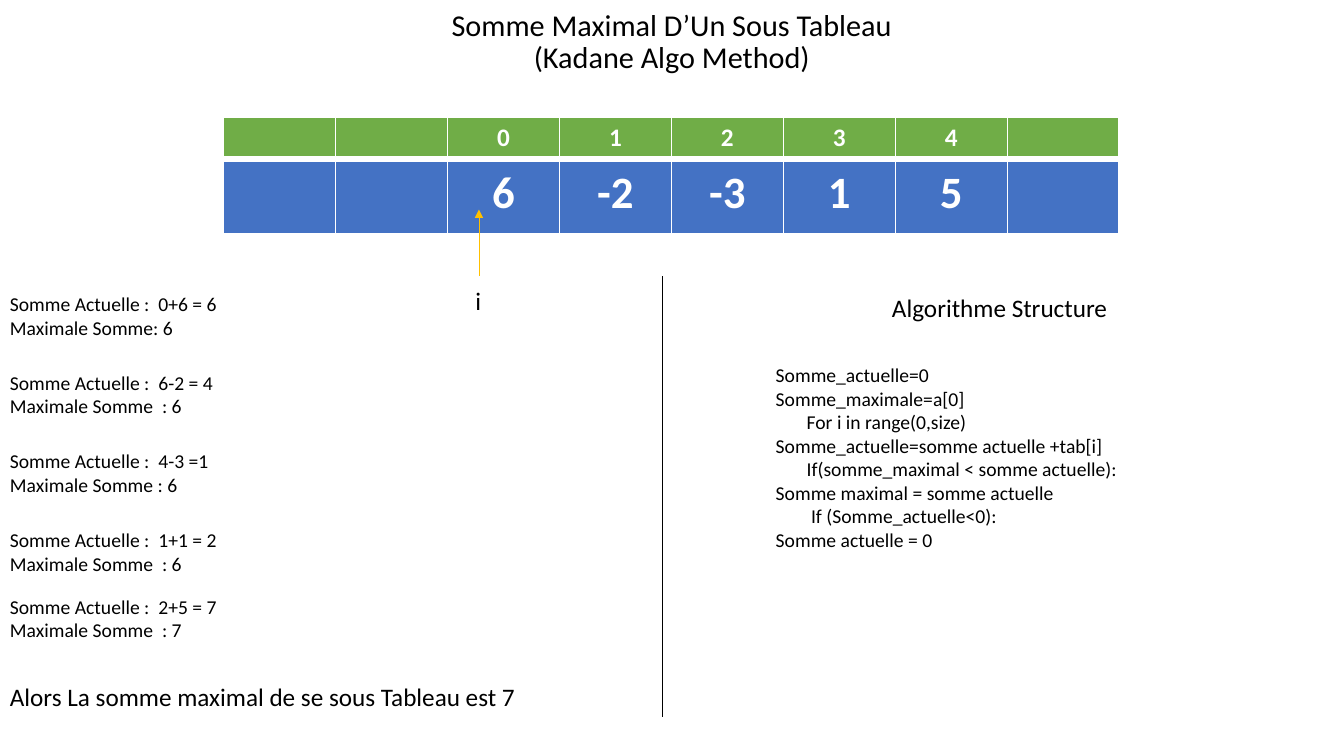
from lxml import etree
from pptx import Presentation
from pptx.dml.color import RGBColor
from pptx.enum.shapes import MSO_CONNECTOR
from pptx.enum.text import MSO_ANCHOR, MSO_AUTO_SIZE, PP_ALIGN
from pptx.oxml.ns import qn
from pptx.util import Cm, Pt

COLORS = {"text": "000000", "white": "FFFFFF", "value": "4472C4",
          "index": "70AD47", "pointer": "FFC000"}
FONT = "Calibri"
COLUMNS = 8
COLUMN_WIDTH = 2.82
TABLE_LEFT = 5.64


def rgb(name):
    return RGBColor.from_string(COLORS[name])


def style_font(font, size, color="text", bold=False):
    font.name, font.size, font.bold = FONT, Pt(size), bold
    font.color.rgb = rgb(color)


def set_title(slide, text):
    title = slide.shapes.title
    title.left, title.top, title.width, title.height = Cm(4.23), Cm(0), Cm(25.4), Cm(2.03)
    frame = title.text_frame
    frame.text = text
    frame.auto_size = MSO_AUTO_SIZE.NONE
    frame.vertical_anchor = MSO_ANCHOR.BOTTOM
    paragraph = frame.paragraphs[0]
    paragraph.alignment = PP_ALIGN.CENTER
    paragraph.line_spacing = 0.9
    style_font(paragraph.font, 21.6)
    for run in paragraph.runs:
        style_font(run.font, 21.6)


def add_text(slide, left, top, width, height, lines, size, wrap=False, indents=None):
    """Add a text box; indents maps a line number to its left indent in cm."""
    box = slide.shapes.add_textbox(Cm(left), Cm(top), Cm(width), Cm(height))
    frame = box.text_frame
    frame.word_wrap = wrap
    frame.auto_size = MSO_AUTO_SIZE.SHAPE_TO_FIT_TEXT
    for number, line in enumerate(lines):
        paragraph = frame.paragraphs[0] if number == 0 else frame.add_paragraph()
        run = paragraph.add_run()
        run.text = line
        style_font(run.font, size)
        if indents and number in indents:
            paragraph._p.get_or_add_pPr().set("marL", str(Cm(indents[number])))


def add_borders(cell):
    properties = cell._tc.get_or_add_tcPr()
    for position, (side, width) in enumerate((("L", 1), ("R", 1), ("T", 1), ("B", 3))):
        line = etree.Element(qn(f"a:ln{side}"), w=str(Pt(width)))
        fill = etree.SubElement(line, qn("a:solidFill"))
        etree.SubElement(fill, qn("a:srgbClr"), val=COLORS["white"])
        properties.insert(position, line)


def add_array_row(slide, top, height, values, size, fill):
    """Add a one-row table with the values starting in the third column."""
    table = slide.shapes.add_table(1, COLUMNS, Cm(TABLE_LEFT), Cm(top),
                                   Cm(COLUMNS * COLUMN_WIDTH), Cm(height)).table
    for column in table.columns:
        column.width = Cm(COLUMN_WIDTH)
    for index, cell in enumerate(table.iter_cells()):
        cell.fill.solid()
        cell.fill.fore_color.rgb = rgb(fill)
        add_borders(cell)
        if 2 <= index < 2 + len(values):
            paragraph = cell.text_frame.paragraphs[0]
            paragraph.alignment = PP_ALIGN.CENTER
            run = paragraph.add_run()
            run.text = str(values[index - 2])
            style_font(run.font, size, "white", bold=True)


def add_line(slide, x, start_y, end_y, color, arrow=False):
    line = slide.shapes.add_connector(MSO_CONNECTOR.STRAIGHT,
                                      Cm(x), Cm(start_y), Cm(x), Cm(end_y))
    line.line.color.rgb = rgb(color)
    line.line.width = Pt(0.5)
    if arrow:
        etree.SubElement(line.line._get_or_add_ln(), qn("a:tailEnd"), type="triangle")
    etree.SubElement(line._element.spPr, qn("a:effectLst"))


def main():
    prs = Presentation()
    prs.slide_width, prs.slide_height = Cm(33.87), Cm(19.05)
    slide = prs.slides.add_slide(prs.slide_layouts[5])
    set_title(slide, "Somme Maximal D’Un Sous Tableau\v(Kadane Algo Method)")

    # Array values and their indices
    add_array_row(slide, 4.06, 1.85, [6, -2, -3, 1, 5], 32, "value")
    add_array_row(slide, 2.95, 1.04, range(5), 18, "index")

    # Sums after each step
    steps = [
        (7.24, 5.92, "Somme Actuelle :  0+6 = 6", "Maximale Somme: 6"),
        (9.22, 5.87, "Somme Actuelle :  6-2 = 4", "Maximale Somme  : 6"),
        (11.2, 5.56, "Somme Actuelle :  4-3 =1", "Maximale Somme : 6"),
        (13.18, 5.99, "Somme Actuelle :  1+1 = 2", "Maximale Somme  : 6"),
        (14.86, 5.77, "Somme Actuelle :  2+5 = 7", "Maximale Somme  : 7"),
    ]
    for top, width, *lines in steps:
        add_text(slide, 0, top, width, 1.45, lines, 14)
    add_text(slide, 0, 17.04, 13.39, 1.02,
             ["Alors La somme maximal de se sous Tableau est 7"], 18)

    # Algorithm
    add_line(slide, 16.69, 6.96, 18.08, "text")
    add_text(slide, 22.23, 7.24, 5.99, 1.02, ["Algorithme Structure"], 18)
    algorithm = [
        "Somme_actuelle=0",
        "Somme_maximale=a[0]",
        "For i in range(0,size)",
        "Somme_actuelle=somme actuelle +tab[i]",
        "If(somme_maximal < somme actuelle):",
        "Somme maximal = somme actuelle",
        "If (Somme_actuelle<0):",
        "Somme actuelle = 0",
    ]
    add_text(slide, 19.3, 9.02, 11.51, 5.82, algorithm, 14, wrap=True,
             indents={2: 0.78, 4: 0.78, 6: 0.89})

    # Pointer to the current element
    add_line(slide, 12.07, 6.96, 5.28, "pointer", arrow=True)
    add_text(slide, 11.73, 7.06, 0.66, 1.02, ["i"], 18)

    prs.save("out.pptx")


main()
